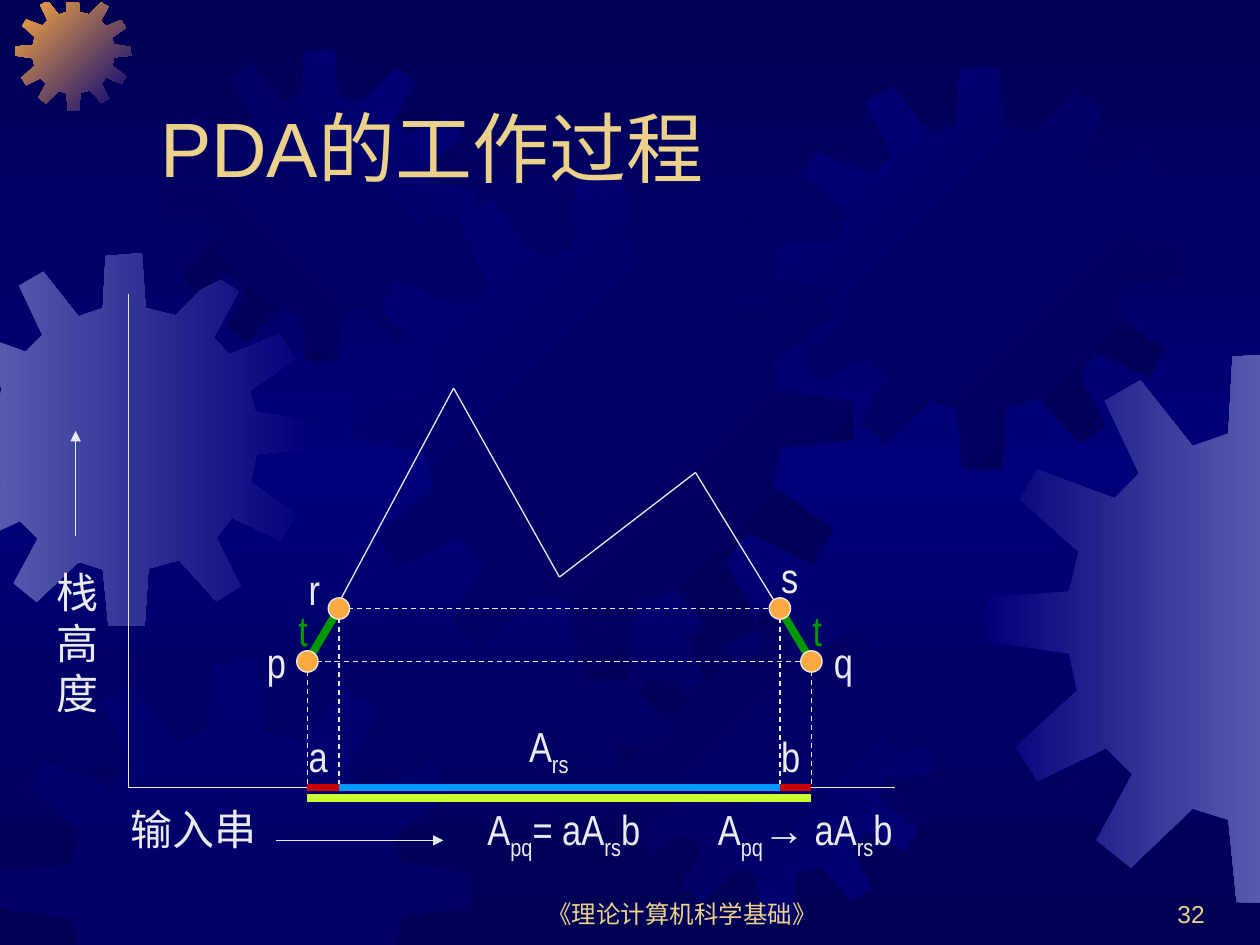
from copy import deepcopy
from lxml import etree
from pptx import Presentation, util as u
from pptx.dml import color
from pptx.enum import dml, shapes, text
from pptx.oxml import ns

I = u.Inches
rgb = color.RGBColor.from_string
WHITE, GOLD, ORANGE, GREEN = "EAEAEA", "EBD189", "FCAB40", "009900"
DARK, NAVY, LILAC = "000054", "00007A", "555BAD"

presentation = Presentation()
presentation.slide_width, presentation.slide_height = I(10), I(7.5)
slide = presentation.slides.add_slide(presentation.slide_layouts[5])


def add_line(start, end, line_color=WHITE, width=0.75, dashed=False, arrow=False):
    line = slide.shapes.add_connector(
        shapes.MSO_CONNECTOR.STRAIGHT, I(start[0]), I(start[1]), I(end[0]), I(end[1]))
    line.line.color.rgb = rgb(line_color)
    line.line.width = u.Pt(width)
    if dashed:
        line.line.dash_style = dml.MSO_LINE.DASH
    if arrow:
        etree.SubElement(line.line._get_or_add_ln(), ns.qn("a:tailEnd"), type="triangle")
    etree.SubElement(line._element.spPr, ns.qn("a:effectLst"))


def add_text(box, parts, size=24, font_color=WHITE, font="Arial Narrow"):
    shape = slide.shapes.add_textbox(*map(I, box))
    shape.text_frame.word_wrap = True
    paragraph = shape.text_frame.paragraphs[0]
    for part in parts:
        run = paragraph.add_run()
        run.text = part.lstrip("_")
        run.font.size = u.Pt(size)
        run.font.name = "Arial" if part == "→" else font
        run.font.color.rgb = rgb(font_color)
        if part.startswith("_"):
            run.font._element.set("baseline", "-25000")
    return shape


background = slide.background.fill
background.gradient()
background.gradient_angle = 270
for stop, stop_color in zip(background.gradient_stops, (DARK, NAVY)):
    stop.color.rgb = rgb(stop_color)
stop_list = next(slide._element.iter(ns.qn("a:gsLst")))
stop_list[1].set("pos", "50000")
stop_list.append(deepcopy(stop_list[0]))
stop_list[2].set("pos", "100000")

GEAR_SIZE = 401
GEAR_OUTLINE = [
    (255, 67), (223, 59), (219, 0), (180, 3), (177, 59), (151, 68), (113, 20), (87, 35),
    (112, 88), (94, 106), (38, 85), (25, 107), (68, 145), (61, 174), (1, 178), (0, 210),
    (61, 219), (67, 246), (22, 287), (38, 312), (88, 288), (107, 307), (81, 355), (106, 375),
    (151, 332), (177, 340), (183, 400), (222, 401), (226, 339), (259, 330), (299, 374), (325, 358),
    (299, 306), (316, 284), (368, 309), (384, 281), (336, 246), (342, 216), (401, 210), (400, 180),
    (341, 171), (335, 148), (383, 114), (367, 87), (313, 109), (296, 91), (323, 41), (297, 25)]
gears = [
    (-0.49, 2.01, 2.96, LILAC, NAVY, 0),
    (0.12, -0.04, 0.92, ORANGE, NAVY, 45),
    (1.3, 0.39, 2.48, DARK, NAVY, 315),
    (2.77, 1.39, 4.01, NAVY, DARK, 45),
    (0, 5.25, 3.74, NAVY, None, 0),
    (4.91, 4.84, 2.48, DARK, NAVY, 45),
    (6.18, 0.53, 3.2, NAVY, DARK, 45),
    (7.82, 2.8, 4.37, NAVY, LILAC, 0)]
slide_edges = [(0, 0, 1), (0, 10, -1), (1, 0.02, 1), (1, 7.5, -1)]
for left, top, size, first, last, angle in gears:
    points = [(left + x * size / GEAR_SIZE, top + y * size / GEAR_SIZE) for x, y in GEAR_OUTLINE]
    for axis, limit, side in slide_edges:
        kept = []
        for a, b in zip(points, points[1:] + points[:1]):
            a_depth, b_depth = (a[axis] - limit) * side, (b[axis] - limit) * side
            if a_depth >= 0:
                kept.append(a)
            if a_depth * b_depth < 0:
                share = a_depth / (a_depth - b_depth)
                kept.append((a[0] + share * (b[0] - a[0]), a[1] + share * (b[1] - a[1])))
        points = kept
    points = [(I(x), I(y)) for x, y in points]
    builder = slide.shapes.build_freeform(*points[0], scale=1.0)
    builder.add_line_segments(points[1:], close=True)
    gear = builder.convert_to_shape()
    gear.shadow.inherit = False
    gear.line.fill.background()
    if last:
        gear.fill.gradient()
        gear.fill.gradient_angle = -angle % 360
        for stop, stop_color in zip(gear.fill.gradient_stops, (first, last)):
            stop.color.rgb = rgb(stop_color)
    else:
        gear.fill.solid()
        gear.fill.fore_color.rgb = rgb(first)
        fill_color = next(gear._element.spPr.iter(ns.qn("a:srgbClr")))
        etree.SubElement(fill_color, ns.qn("a:alpha"), val="50000")

title = slide.shapes.title
slide.shapes._spTree.append(title._element)
title.left, title.top, title.width, title.height = I(1.17), I(0.33), I(8.5), I(1.25)
title.text_frame.text = "PDA的工作过程"
title.text_frame.vertical_anchor = text.MSO_ANCHOR.BOTTOM
paragraph = title.text_frame.paragraphs[0]
paragraph.alignment = text.PP_ALIGN.LEFT
title_font = paragraph.runs[0].font
title_font.size, title_font.name = u.Pt(44), "Arial"
title_font.color.rgb = rgb(GOLD)

for box, words, alignment in [
        ((3.83, 6.92, 3.17, 0.5), "《理论计算机科学基础》", text.PP_ALIGN.CENTER),
        ((7.58, 6.92, 2.08, 0.5), "32", text.PP_ALIGN.RIGHT)]:
    footer = add_text(box, [words], 14, GOLD, "Arial")
    footer.text_frame.vertical_anchor = text.MSO_ANCHOR.BOTTOM
    footer.text_frame.paragraphs[0].alignment = alignment

BASE = 6.25
p, r, s, q = (2.44, 5.25), (2.69, 4.83), (6.19, 4.83), (6.44, 5.25)
origin = (1.02, BASE)
add_line(origin, (7.1, BASE))
add_line(origin, (1.02, 2.33))
add_line((2.19, 6.67), (3.52, 6.67), arrow=True)
add_line((0.6, 4.25), (0.6, 3.42), arrow=True)

stack_curve = [p, (3.6, 3.08), (4.44, 4.58), (5.52, 3.75), q]
for start, end in zip(stack_curve, stack_curve[1:]):
    add_line(start, end)
for start, end in [(p, q), (r, s)]:
    add_line(start, end, dashed=True)
for x, y in (p, r, s, q):
    add_line((x, y), (x, BASE), dashed=True)
for start, end in [(r, p), (s, q)]:
    add_line(start, end, GREEN, 4.5)
for start, end, y, bar_color in [
        (r, s, BASE, "0099FF"), (p, r, BASE, "CC0000"),
        (s, q, BASE, "CC0000"), (p, q, 6.33, "CCFF33")]:
    add_line((start[0], y), (end[0], y), bar_color, 4.5)

DOT = 0.17
for x, y in (r, p, s, q):
    dot = slide.shapes.add_shape(
        shapes.MSO_SHAPE.OVAL, I(x - DOT / 2), I(y - DOT / 2), I(DOT), I(DOT))
    dot.shadow.inherit = False
    dot.fill.solid()
    dot.fill.fore_color.rgb = rgb(ORANGE)
    dot.line.color.rgb = rgb(WHITE)
    dot.line.width = u.Pt(0.75)

for x, y, letter in [(2.02, 5, "p"), (6.52, 5, "q"), (2.35, 4.42, "r"), (6.1, 4.33, "s"),
                     (2.35, 5.75, "a"), (6.1, 5.75, "b"), (2.27, 4.75, "t"), (6.35, 4.75, "t")]:
    add_text((x, y, 0.42, 0.5), [letter], font_color=GREEN if letter == "t" else WHITE)
add_text((0.94, 6.33, 1.42, 0.5), ["输入串"])
add_text((0.35, 4.45, 0.5, 1.3), ["栈高度"])
add_text((4.1, 5.67, 0.58, 0.56), ["A", "_rs"])
add_text((3.77, 6.33, 1.83, 0.56), ["A", "_pq", "= aA", "_rs", "b"])
add_text((5.6, 6.33, 1.83, 0.56), ["A", "_pq", "→", " aA", "_rs", "b"])

presentation.save("out.pptx")
